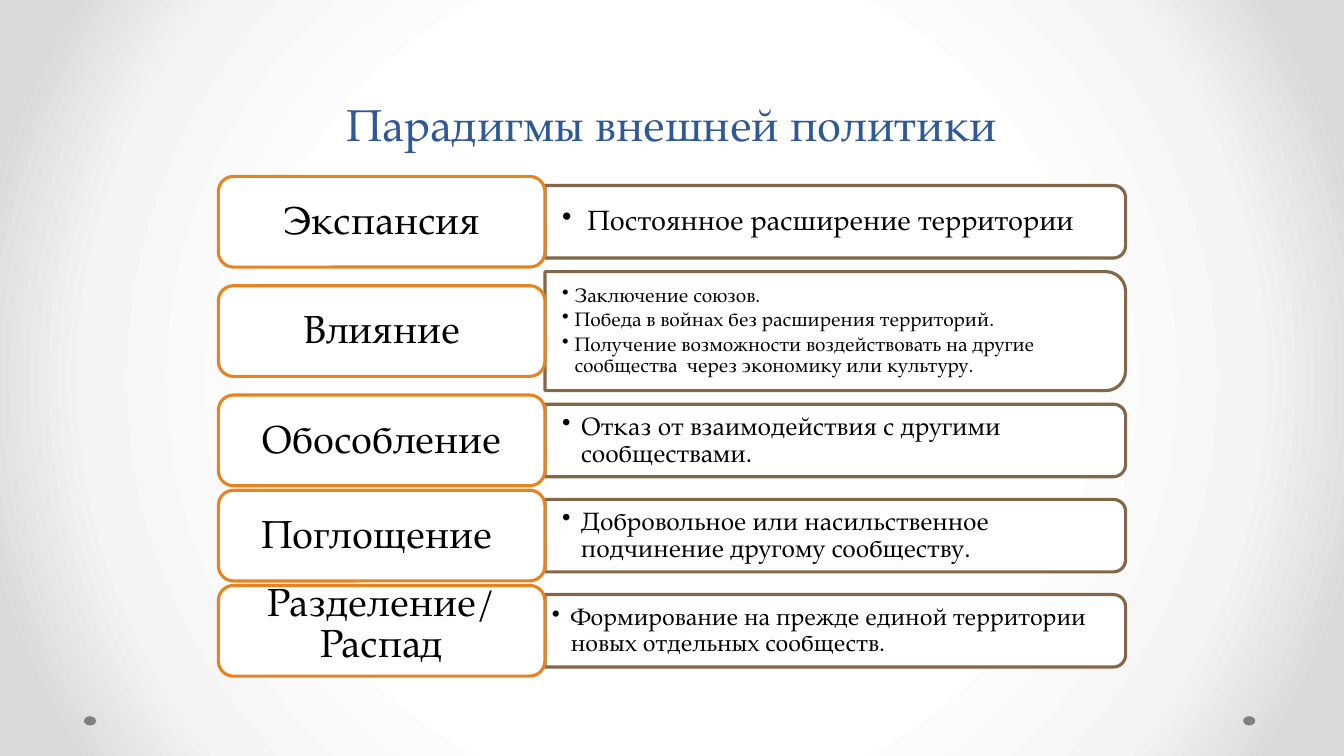
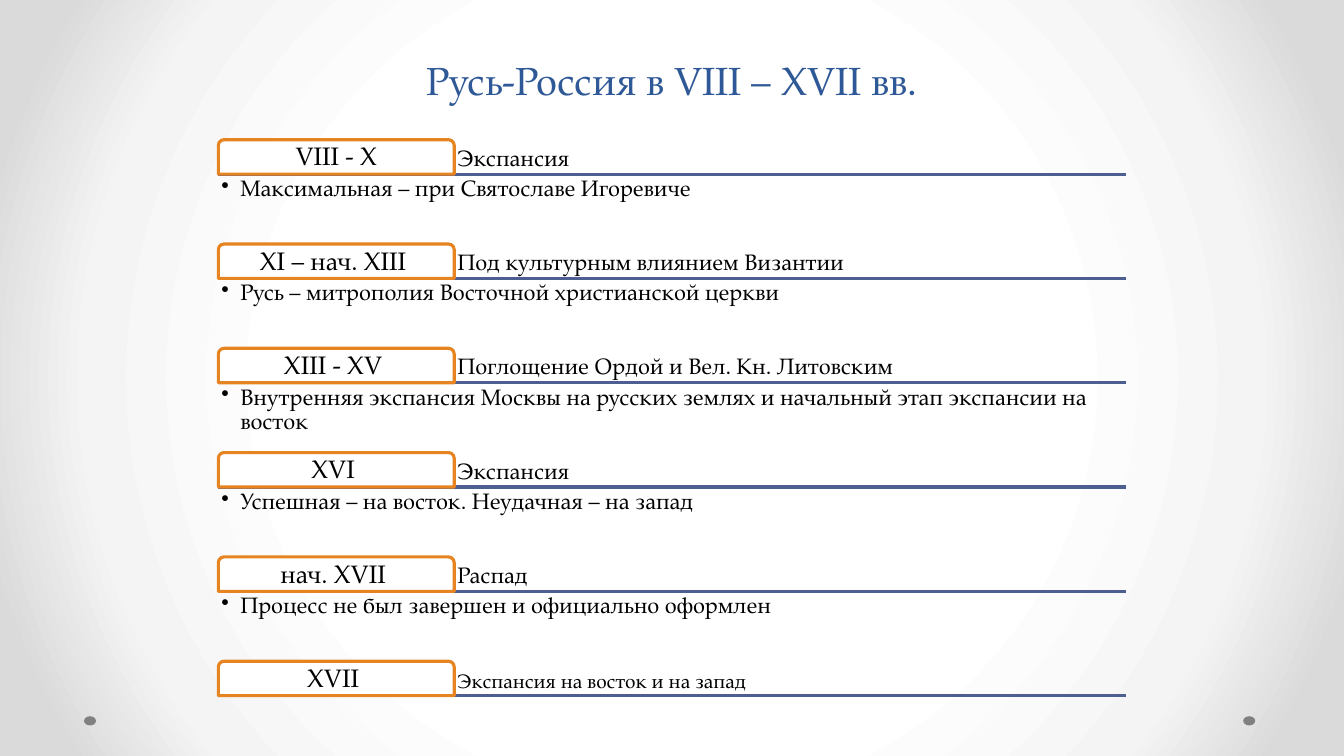
from lxml.etree import SubElement
from pptx import Presentation
from pptx.dml.color import RGBColor
from pptx.enum.shapes import MSO_CONNECTOR, MSO_SHAPE
from pptx.enum.text import MSO_ANCHOR, MSO_AUTO_SIZE, PP_ALIGN
from pptx.oxml import parse_xml
from pptx.oxml.ns import nsdecls, qn
from pptx.util import Pt

FONT = "TeX Gyre Pagella"
BLACK = RGBColor(0x00, 0x00, 0x00)
WHITE = RGBColor(0xFF, 0xFF, 0xFF)
GRAY = RGBColor(0x80, 0x80, 0x80)
PALE = RGBColor(0xF4, 0xF4, 0xF4)
SILVER = RGBColor(0xDA, 0xDA, 0xDA)
BLUE = RGBColor(0x2F, 0x58, 0x97)
NAVY = RGBColor(0x4D, 0x5E, 0x90)
ORANGE = RGBColor(0xE6, 0x84, 0x22)
BROWN = RGBColor(0x84, 0x66, 0x48)

LEFT, WIDE = 156, 648
STROKE = 2.25
SHADES = [(50, WHITE), (76, PALE), (92, SILVER)]
DOTS = [888, 60]

# label lines, detail lines, detail size, hanging indent, side inset, detail height
MODELS = [
    (["Экспансия"], ["Постоянное расширение территории"], 20, 18, 12.2, 51.8),
    (["Влияние"],
     ["Заключение союзов.",
      "Победа в войнах без расширения территорий.",
      "Получение возможности воздействовать на другие сообщества  через "
      "экономику или культуру."], 14, 9, 12.2, 85),
    (["Обособление"], ["Отказ от взаимодействия с другими сообществами."],
     18, 13.5, 12.2, 51.8),
    (["Поглощение "],
     ["Добровольное или насильственное подчинение другому сообществу."],
     18, 13.5, 12.2, 51.8),
    (["Разделение/", "Распад"],
     ["Формирование на прежде единой территории новых отдельных сообществ."],
     17, 13.5, 5, 51.8),
]

# period, policy, policy size, note
PERIODS = [
    ("VIII - X", "Экспансия", 16, "Максимальная – при Святославе Игоревиче"),
    ("XI – нач. XIII ", "Под культурным влиянием Византии", 16,
     "Русь – митрополия Восточной христианской церкви"),
    ("XIII - XV ", "Поглощение Ордой и Вел. Кн. Литовским", 16,
     "Внутренняя экспансия Москвы на русских землях и начальный этап "
     "экспансии на восток"),
    ("XVI ", "Экспансия", 16, "Успешная – на восток. Неудачная – на запад"),
    ("нач. XVII ", "Распад", 16,
     "Процесс не был завершен и официально оформлен"),
    ("XVII ", "Экспансия на восток и на запад", 14, None),
]


def write(shape, lines, size, color=BLACK, align=PP_ALIGN.LEFT,
          anchor=MSO_ANCHOR.MIDDLE, inset=None, space=0.9, after=0.35, hang=0):
    """Fill a shape with lines; after is a share of the size, hang adds bullets."""
    frame = shape.text_frame
    frame.word_wrap = True
    frame.auto_size = MSO_AUTO_SIZE.NONE
    frame.vertical_anchor = anchor
    if inset:
        frame.margin_left = frame.margin_right = Pt(inset[0])
        frame.margin_top = frame.margin_bottom = Pt(inset[1])
    for i, line in enumerate(lines):
        para = frame.add_paragraph() if i else frame.paragraphs[0]
        if hang:
            props = para._p.get_or_add_pPr()
            props.set("marL", str(Pt(hang)))
            props.set("indent", str(-Pt(hang)))
            SubElement(props, qn("a:buChar")).set("char", "•")
        para.alignment = align
        para.line_spacing = space
        para.space_after = Pt(size * after)
        run = para.add_run()
        run.text = line
        run.font.name = FONT
        run.font.size = Pt(size)
        run.font.color.rgb = color


def draw(slide, kind, x, y, w, h, fill, edge=None):
    shape = slide.shapes.add_shape(kind, Pt(x), Pt(y), Pt(w), Pt(h))
    shape.shadow.inherit = False
    shape.fill.solid()
    shape.fill.fore_color.rgb = fill
    if edge is None:
        shape.line.fill.background()
    else:
        shape.line.color.rgb = edge
        shape.line.width = Pt(STROKE)
    return shape


def box(slide, x, y, w, h):
    return slide.shapes.add_textbox(Pt(x), Pt(y), Pt(w), Pt(h))


def rule(slide, y):
    line = slide.shapes.add_connector(
        MSO_CONNECTOR.STRAIGHT, Pt(LEFT), Pt(y), Pt(LEFT + WIDE), Pt(y))
    line.line.color.rgb = NAVY
    line.line.width = Pt(STROKE)
    SubElement(line._element.spPr, qn("a:effectLst"))


def set_ground(master):
    """Give the master a round gradient that darkens to the edges."""
    stops = "".join(
        f'<a:gs pos="{pos * 1000}"><a:srgbClr val="{color}"/></a:gs>'
        for pos, color in SHADES)
    tree = master.element.cSld
    for old in tree.findall(qn("p:bg")):
        tree.remove(old)
    tree.insert(0, parse_xml(
        f'<p:bg {nsdecls("p", "a")}><p:bgPr><a:gradFill rotWithShape="1">'
        f'<a:gsLst>{stops}</a:gsLst><a:path path="circle">'
        '<a:fillToRect l="50000" t="50000" r="50000" b="50000"/></a:path>'
        '</a:gradFill><a:effectLst/></p:bgPr></p:bg>'))


def set_dots(slide, layout):
    """Draw the corner dots and move them to the layout."""
    for i, x in enumerate(DOTS):
        dot = draw(slide, MSO_SHAPE.OVAL, x, 511.6, 8.6, 6.6, GRAY)
        dot.name = f"Dot {i + 1}"
        dot._element.nvSpPr.cNvPr.set("id", str(20 + i))
        layout.shapes._spTree.append(dot._element)


def add_slide(deck, layout, text, size, top, high, space=1.0):
    slide = deck.slides.add_slide(layout)
    title = slide.shapes.title
    title.left, title.top = Pt(LEFT), Pt(top)
    title.width, title.height = Pt(WIDE), Pt(high)
    write(title, [text], size, BLUE, PP_ALIGN.CENTER, MSO_ANCHOR.BOTTOM,
          space=space, after=0)
    return slide


def add_models(slide):
    top, gap, high = 126, 3.2, 64.8
    name_w = WIDE * 0.36
    x, w = LEFT + name_w, WIDE - name_w
    for names, lines, size, hang, side, tall in MODELS:
        row = max(high, tall)
        mid = top + row / 2
        # turned a quarter, so that the round corners face right
        panel = draw(slide, MSO_SHAPE.ROUND_2_SAME_RECTANGLE,
                     x + (w - tall) / 2, mid - w / 2, tall, w, WHITE, BROWN)
        panel.rotation = 90
        write(box(slide, x, mid - tall / 2, w - 3, tall), lines, size,
              inset=(side, 4), after=0.15, hang=hang)
        label = draw(slide, MSO_SHAPE.ROUNDED_RECTANGLE,
                     LEFT, mid - high / 2, name_w, high, WHITE, ORANGE)
        write(label, names, 28, align=PP_ALIGN.CENTER, inset=(8.6, 4.3),
              space=Pt(20) if len(names) > 1 else 0.9)
        top += row + gap


def add_periods(slide):
    first, pitch, high, note_h = 99.8, 74.5, 24.6, 49
    tab_w = WIDE * 0.26
    tops = [first + i * pitch for i in range(len(PERIODS))]
    for top in tops:
        rule(slide, top + high)
    for top, (period, policy, size, note) in zip(tops, PERIODS):
        write(box(slide, LEFT + tab_w, top, WIDE - tab_w, high), [policy], size,
              anchor=MSO_ANCHOR.BOTTOM, inset=(2.2, 2.2))
        tab = draw(slide, MSO_SHAPE.ROUND_2_SAME_RECTANGLE,
                   LEFT, top, tab_w, high, WHITE, ORANGE)
        write(tab, [period], 18, align=PP_ALIGN.CENTER, inset=(2.7, 2.7))
        if note:
            write(box(slide, LEFT, top + high, WIDE, note_h), [note], 16,
                  anchor=MSO_ANCHOR.TOP, inset=(2.2, 2.2), after=0.15, hang=13.5)


def main():
    deck = Presentation()
    deck.slide_width, deck.slide_height = Pt(960), Pt(540)
    layout = deck.slide_layouts.get_by_name("Title Only")
    set_ground(deck.slide_master)

    models = add_slide(deck, layout, "Парадигмы внешней политики", 32, 31.7, 79.2)
    set_dots(models, layout)
    add_models(models)

    periods = add_slide(deck, layout, "Русь-Россия в VIII – XVII вв.", 28,
                        15.1, 62.6, Pt(58))
    add_periods(periods)
    deck.save("out.pptx")


if __name__ == "__main__":
    main()
